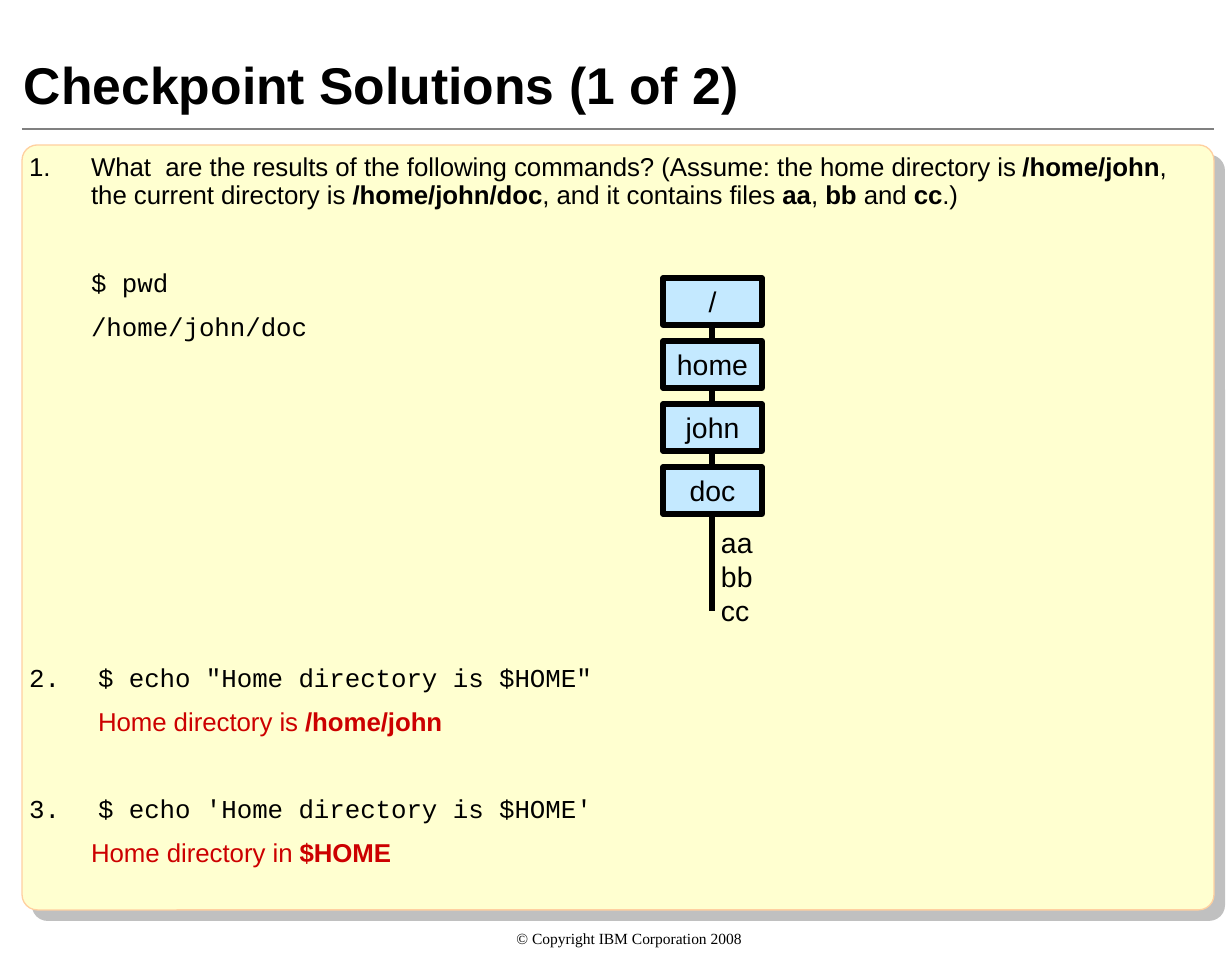
from lxml import etree
from pptx import Presentation
from pptx.dml.color import RGBColor
from pptx.enum.shapes import MSO_CONNECTOR, MSO_SHAPE
from pptx.enum.text import MSO_ANCHOR, PP_ALIGN
from pptx.oxml.ns import qn
from pptx.util import Emu, Pt

RECT, ROUNDED = MSO_SHAPE.RECTANGLE, MSO_SHAPE.ROUNDED_RECTANGLE
STRAIGHT = MSO_CONNECTOR.STRAIGHT
TOP, MIDDLE, BOTTOM = MSO_ANCHOR.TOP, MSO_ANCHOR.MIDDLE, MSO_ANCHOR.BOTTOM
LEFT, CENTER = PP_ALIGN.LEFT, PP_ALIGN.CENTER

EMU_PER_PX = 914400 / 185.8
COLORS = {
    "text": "000000",
    "answer": "CC0000",
    "rule": "808080",
    "panel": "FFFFD0",
    "panel_edge": "FFD0A0",
    "shadow": "C0C0C0",
    "folder": "C4E9FF",
}
SANS, MONO, SERIF = "Arial", "Courier New", "Times New Roman"
NUMBER_INDENT, COMMAND_INDENT = 62, 69
BLANK_LINE = 17

FOLDERS = ["/", "home", "john", "doc"]
FILES = ["aa", "bb", "cc"]
QUESTION = [
    ("What  are the results of the following commands? "
     "(Assume: the home directory is ", False),
    ("/home/john", True),
    (", the current directory is ", False),
    ("/home/john/doc", True),
    (", and it contains files ", False),
    ("aa", True),
    (", ", False),
    ("bb", True),
    (" and ", False),
    ("cc", True),
    (".)", False),
]


def px(n):
    return Emu(round(n * EMU_PER_PX))


def rgb(name):
    return RGBColor.from_string(COLORS[name])


def add_element(parent, tag, **attrs):
    el = etree.SubElement(parent, qn(tag))
    for key, value in attrs.items():
        el.set(key, str(value))
    return el


def add_text(p, text, size=10, font=SANS, bold=False, color="text"):
    r = p.add_run()
    r.text = text
    r.font.size = Pt(size)
    r.font.name = font
    r.font.bold = bold
    r.font.color.rgb = rgb(color)


def set_frame(tf, anchor=TOP, insets=(0, 0, 0, 0), wrap=True):
    tf.margin_left, tf.margin_top, tf.margin_right, tf.margin_bottom = map(px, insets)
    tf.vertical_anchor = anchor
    tf.word_wrap = wrap


def add_box(s, x, y, w, h, **frame):
    tf = s.shapes.add_textbox(px(x), px(y), px(w), px(h)).text_frame
    set_frame(tf, **frame)
    return tf


def add_line(s, x1, y1, x2, y2, color, width):
    line = s.shapes.add_connector(STRAIGHT, px(x1), px(y1), px(x2), px(y2))
    line.line.color.rgb = rgb(color)
    line.line.width = Pt(width)
    add_element(line._element.spPr, "a:effectLst")


def add_shape(s, kind, x, y, w, h, fill, edge, width):
    sp = s.shapes.add_shape(kind, px(x), px(y), px(w), px(h))
    sp.shadow.inherit = False
    sp.fill.solid()
    sp.fill.fore_color.rgb = rgb(fill)
    sp.line.color.rgb = rgb(edge)
    sp.line.width = Pt(width)
    return sp


def add_panel(s):
    sp = add_shape(s, ROUNDED, 22, 145, 1192, 765, "panel", "panel_edge", 0.5)
    sp.adjustments[0] = 0.02
    effects = sp._element.spPr.find(qn("a:effectLst"))
    shadow = add_element(effects, "a:outerShdw", dist=Pt(5.7), dir=45 * 60000,
                         algn="tl", rotWithShape=0)
    add_element(shadow, "a:srgbClr", val=COLORS["shadow"])


def add_folder_tree(s):
    x, y, w, h, pitch = 663, 278, 99, 47, 63
    middle = x + w // 2
    add_line(s, middle, y + h // 2, middle, 611, "text", 2)
    for i, folder in enumerate(FOLDERS):
        sp = add_shape(s, RECT, x, y + i * pitch, w, h, "folder", "text", 2)
        set_frame(sp.text_frame, anchor=MIDDLE, wrap=False)
        p = sp.text_frame.paragraphs[0]
        p.alignment = CENTER
        add_text(p, folder, size=11)
    tf = add_box(s, 721, 525, 60, 102)
    for i, name in enumerate(FILES):
        p = tf.add_paragraph() if i else tf.paragraphs[0]
        add_text(p, name, size=11)


def add_item(tf, indent, number=None, blanks=0):
    """Add a body paragraph, numbered if asked, below a gap of some blank lines."""
    p = tf.add_paragraph() if number != 1 else tf.paragraphs[0]
    p.alignment = LEFT
    p.line_spacing = 0.9
    p.space_after = Pt(6.2)
    if blanks:
        p.space_before = Pt(blanks * BLANK_LINE)
    pPr = p._p.get_or_add_pPr()
    pPr.set("marL", str(px(indent)))
    pPr.set("indent", str(-px(indent) if number else 0))
    if number:
        color = add_element(pPr, "a:buClr")
        add_element(color, "a:srgbClr", val=COLORS["text"])
        add_element(pPr, "a:buFont", typeface=SANS)
        add_element(pPr, "a:buAutoNum", type="arabicPeriod", startAt=number)
    else:
        add_element(pPr, "a:buNone")
    return p


def add_command(tf, number, command, blanks):
    add_text(add_item(tf, COMMAND_INDENT, number, blanks), command, font=MONO)


def add_answer(tf, indent, lead, value):
    p = add_item(tf, indent)
    add_text(p, lead, color="answer")
    add_text(p, value, bold=True, color="answer")


def add_body(s):
    tf = add_box(s, 22, 150, 1180, 775, insets=(7, 4, 0, 0))
    p = add_item(tf, NUMBER_INDENT, number=1)
    for text, bold in QUESTION:
        add_text(p, text, bold=bold)
    add_text(add_item(tf, NUMBER_INDENT, blanks=1), "$ pwd", font=MONO)
    add_text(add_item(tf, NUMBER_INDENT), "/home/john/doc", font=MONO)
    add_command(tf, 2, '$ echo "Home directory is $HOME"', blanks=7)
    add_answer(tf, COMMAND_INDENT, "Home directory is ", "/home/john")
    add_command(tf, 3, "$ echo 'Home directory is $HOME'", blanks=1)
    add_answer(tf, NUMBER_INDENT, "Home directory in ", "$HOME")


def main():
    prs = Presentation()
    prs.slide_width, prs.slide_height = px(1232), px(953)
    s = prs.slides.add_slide(prs.slide_layouts[6])

    add_line(s, 22, 129, 1214, 129, "rule", 1)
    add_panel(s)
    add_folder_tree(s)
    title = add_box(s, 11, 11, 1206, 110, anchor=BOTTOM, insets=(13, 6, 13, 6))
    add_text(title.paragraphs[0], "Checkpoint Solutions (1 of 2)", size=20, bold=True)
    add_body(s)
    footer = add_box(s, 45, 929, 1168, 24).paragraphs[0]
    footer.alignment = CENTER
    add_text(footer, "© Copyright IBM Corporation 2008", size=6, font=SERIF)

    prs.save("out.pptx")


if __name__ == "__main__":
    main()
